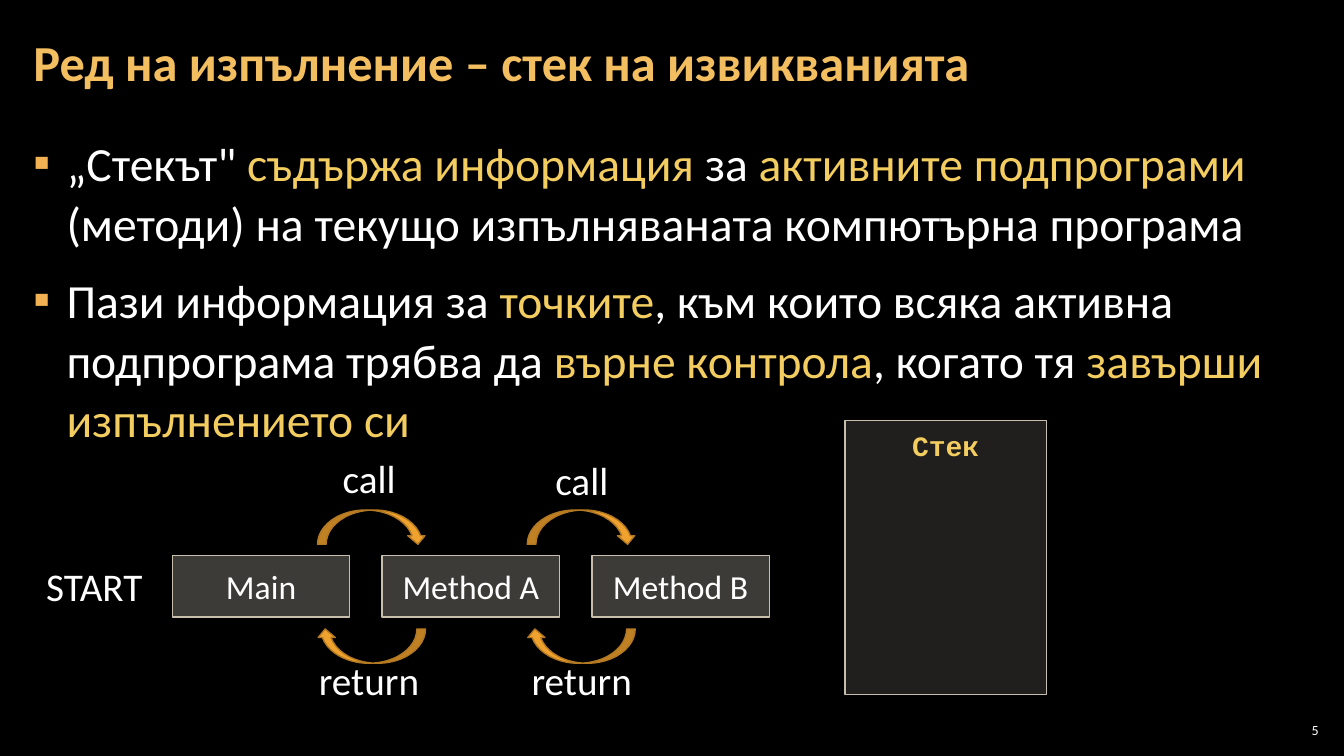
from dataclasses import dataclass

from lxml.etree import SubElement
from pptx import Presentation
from pptx.dml.color import RGBColor
from pptx.enum.shapes import MSO_SHAPE
from pptx.enum.text import MSO_ANCHOR, PP_ALIGN
from pptx.oxml.ns import qn
from pptx.shapes.autoshape import Shape
from pptx.slide import Slide
from pptx.text.text import Font
from pptx.util import Inches, Pt

WHITE = "FFFFFF"
GOLD = "F3CD60"
METHOD_PITCH = 2.08


@dataclass
class Label:
    text: str
    x: float
    y: float
    w: float
    h: float
    size: float = 28
    color: str = WHITE
    font: str = "Calibri"
    bold: bool = False
    align: PP_ALIGN = PP_ALIGN.CENTER
    anchor: MSO_ANCHOR = MSO_ANCHOR.MIDDLE
    inset_x: float = 0.1
    inset_y: float = 0.05
    line_spacing: float = 1.0


@dataclass
class Arrow:
    x: float
    y: float
    flip: str


@dataclass
class Panel:
    text: str
    x: float
    y: float
    w: float
    h: float
    opacity: int


BULLETS = [
    [
        ("„Стекът\" ", WHITE),
        ("съдържа информация ", GOLD),
        ("за ", WHITE),
        ("активните подпрограми", GOLD),
        (" (методи) на текущо изпълняваната компютърна програма", WHITE),
    ],
    [
        ("Пази информация за ", WHITE),
        ("точките", GOLD),
        (", към които всяка активна подпрограма трябва да ", WHITE),
        ("върне контрола", GOLD),
        (", когато тя ", WHITE),
        ("завърши изпълнението си", GOLD),
    ],
]

PANELS = [Panel("", 8.38, 4.17, 2, 2.72, 15)] + [
    Panel(name, 1.71 + i * METHOD_PITCH, 5.51, 1.76, 0.61, 28)
    for i, name in enumerate(["Main", "Method A", "Method B"])
]

ARROWS = [
    Arrow(x + i * METHOD_PITCH, y, flip)
    for i in range(2)
    for x, y, flip in [(3.52, 4.69, "flipV"), (3.51, 5.87, "flipH")]
]

LABELS = [
    Label("Ред на изпълнение – стек на извикванията", 0.21, 0.04, 12.91, 1.21, 36,
          "F3BE60", bold=True, align=PP_ALIGN.LEFT, inset_x=0.12, inset_y=0.04,
          line_spacing=0.9),
    Label("Стек", 8.38, 4.2, 2, 0.77, 20, GOLD, "Courier New", True,
          anchor=MSO_ANCHOR.TOP),
    Label("START", 0.33, 5.6, 1.21, 0.43),
    Label("call", 3.1, 4.53, 1.12, 0.43),
    Label("call", 5.21, 4.55, 1.12, 0.43),
    Label("return", 2.98, 6.53, 1.36, 0.43),
    Label("return", 5.09, 6.53, 1.36, 0.43),
    Label("5", 12.65, 7.14, 0.47, 0.21, 10, align=PP_ALIGN.RIGHT,
          inset_x=0.04, inset_y=0.04),
]


def rgb(color: str) -> RGBColor:
    return RGBColor.from_string(color)


def style_font(font: Font, size: float, color: str, name: str = "Calibri",
               bold: bool = False) -> None:
    font.size = Pt(size)
    font.name = name
    font.bold = bold
    font.color.rgb = rgb(color)


def paint(sp: Shape, fill: str, line: str) -> None:
    sp.shadow.inherit = False
    sp.fill.solid()
    sp.fill.fore_color.rgb = rgb(fill)
    sp.line.color.rgb = rgb(line)
    sp.line.width = Pt(1)


def add_bullets(slide: Slide) -> None:
    sp = slide.shapes.add_textbox(Inches(0.21), Inches(1.26), Inches(12.91), Inches(6.09))
    tf = sp.text_frame
    tf.word_wrap = True
    tf.margin_left = tf.margin_right = Inches(0.12)
    tf.margin_top = tf.margin_bottom = Inches(0.04)
    for i, runs in enumerate(BULLETS):
        p = tf.add_paragraph() if i else tf.paragraphs[0]
        p.line_spacing = 1.05
        p.space_after = Pt(6)
        if i:
            p.space_before = Pt(6)
        pPr = p._p.get_or_add_pPr()
        pPr.set("marL", str(Inches(0.33)))
        pPr.set("indent", str(-Inches(0.33)))
        SubElement(SubElement(pPr, qn("a:buClr")), qn("a:srgbClr"), val="F2B254")
        SubElement(pPr, qn("a:buFont"), typeface="Calibri")
        SubElement(pPr, qn("a:buChar"), char="▪")
        for text, color in runs:
            r = p.add_run()
            r.text = text
            style_font(r.font, 34, color)


def add_panel(slide: Slide, panel: Panel) -> None:
    sp = slide.shapes.add_shape(MSO_SHAPE.RECTANGLE, Inches(panel.x), Inches(panel.y),
                                Inches(panel.w), Inches(panel.h))
    paint(sp, "D9D5C7", "C7BFAC")
    fill_color = sp._element.spPr.find(qn("a:solidFill")).find(qn("a:srgbClr"))
    SubElement(fill_color, qn("a:alpha"), val=str(panel.opacity * 1000))
    if panel.text:
        tf = sp.text_frame
        tf.text = panel.text
        tf.vertical_anchor = MSO_ANCHOR.MIDDLE
        p = tf.paragraphs[0]
        p.alignment = PP_ALIGN.CENTER
        style_font(p.runs[0].font, 24, WHITE)


def add_arrow(slide: Slide, arrow: Arrow) -> None:
    sp = slide.shapes.add_shape(MSO_SHAPE.CURVED_RIGHT_ARROW, Inches(arrow.x),
                                Inches(arrow.y), Inches(0.34), Inches(1.08))
    paint(sp, "F0A22E", "B27822")
    sp.rotation = 90
    sp._element.spPr.find(qn("a:xfrm")).set(arrow.flip, "1")


def add_label(slide: Slide, label: Label) -> None:
    sp = slide.shapes.add_textbox(Inches(label.x), Inches(label.y),
                                  Inches(label.w), Inches(label.h))
    tf = sp.text_frame
    tf.text = label.text
    tf.word_wrap = True
    tf.vertical_anchor = label.anchor
    tf.margin_left = tf.margin_right = Inches(label.inset_x)
    tf.margin_top = tf.margin_bottom = Inches(label.inset_y)
    p = tf.paragraphs[0]
    p.alignment = label.align
    p.line_spacing = label.line_spacing
    style_font(p.runs[0].font, label.size, label.color, label.font, label.bold)


def main() -> None:
    prs = Presentation()
    prs.slide_width = Inches(13.33)
    prs.slide_height = Inches(7.5)
    slide = prs.slides.add_slide(prs.slide_layouts[6])
    slide.background.fill.solid()
    slide.background.fill.fore_color.rgb = rgb("000000")
    add_bullets(slide)
    for panel in PANELS:
        add_panel(slide, panel)
    for arrow in ARROWS:
        add_arrow(slide, arrow)
    for label in LABELS:
        add_label(slide, label)
    prs.save("out.pptx")


if __name__ == "__main__":
    main()
